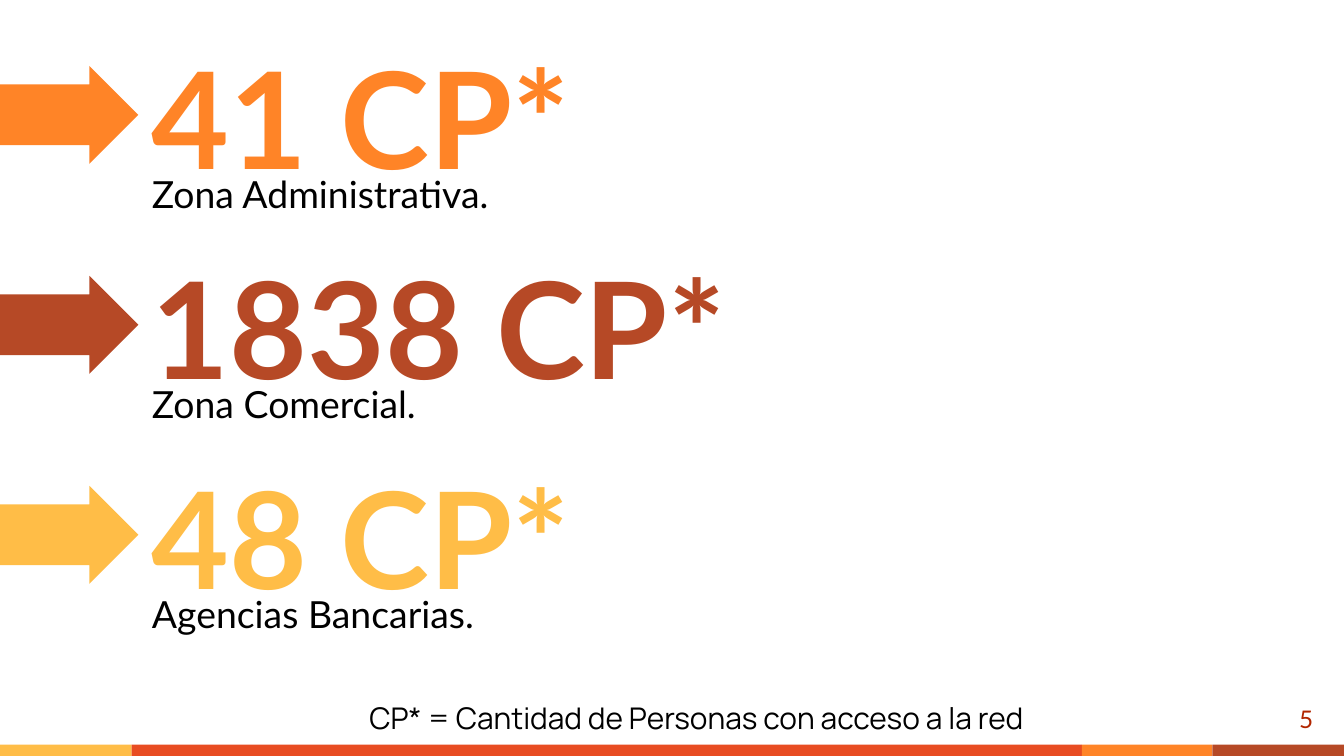
from dataclasses import dataclass
from typing import Any

from lxml.etree import SubElement
from pptx import Presentation
from pptx.dml.color import RGBColor
from pptx.enum.shapes import MSO_SHAPE as Preset
from pptx.enum.text import MSO_ANCHOR as Anchor, MSO_AUTO_SIZE as AutoSize, PP_ALIGN as Align
from pptx.oxml.ns import qn
from pptx.util import Inches, Pt

# The 16:9 slide is a grid of 1000 columns by 562.5 rows
COLUMNS = 1000
ROWS = COLUMNS * 9 / 16
CELL = Inches(0.01)
PITCH = 156.25  # rows from one zone to the next

ORANGE, BROWN, YELLOW, RED = "FF8427", "B64926", "FFBD47", "E84C22"
BLACK, NUMBER_RED = "000000", "B22600"


@dataclass(frozen=True)
class Area:
    column: float
    row: float
    columns: float
    rows: float

    def down(self, rows: float) -> "Area":
        return Area(self.column, self.row + rows, self.columns, self.rows)


@dataclass(frozen=True)
class Zone:
    people: str
    caption: str
    color: str


@dataclass(frozen=True)
class Style:
    size: float
    color: str
    font: str = "Lato"
    bold: bool = False
    align: Align = Align.LEFT
    anchor: Anchor = Anchor.TOP
    wrap: bool = True
    space_before: float = 0
    inset_x: int = 10
    inset_y: int = 10


ZONES = [
    Zone("41 CP*", "Zona Administrativa.", ORANGE),
    Zone("1838 CP*", "Zona Comercial.", BROWN),
    Zone("48 CP*", "Agencias Bancarias.", YELLOW),
]
FOOTER_TOP = 554
FOOTER_BANDS = [(98, YELLOW), (707, RED), (97, ORANGE), (98, BROWN)]

PEOPLE = Area(103, 58, 822, 98)
CAPTION = Area(103, 117, 822, 51)
ARROW = Area(0, 49, 103, 73)


def rgb(color: str) -> RGBColor:
    return RGBColor.from_string(color)


def cells(count: float) -> int:
    return round(count * CELL)


def assign(target: Any, values: dict[str, Any]) -> None:
    for attribute, value in values.items():
        setattr(target, attribute, value)


def place(shape: Any, area: Area) -> None:
    assign(shape, {"left": cells(area.column), "top": cells(area.row),
                   "width": cells(area.columns), "height": cells(area.rows)})


def add_block(slide: Any, preset: Preset, area: Area, color: str) -> Any:
    block = slide.shapes.add_shape(preset, 0, 0, 0, 0)
    place(block, area)
    block.shadow.inherit = False
    block.fill.solid()
    block.fill.fore_color.rgb = rgb(color)
    block.line.fill.background()
    return block


def write(holder: Any, area: Area, text: str, style: Style) -> None:
    place(holder, area)
    frame = holder.text_frame
    inset_x, inset_y = cells(style.inset_x), cells(style.inset_y)
    assign(frame, {"text": text, "word_wrap": style.wrap, "auto_size": AutoSize.NONE,
                   "vertical_anchor": style.anchor,
                   "margin_left": inset_x, "margin_right": inset_x,
                   "margin_top": inset_y, "margin_bottom": inset_y})
    line = frame.paragraphs[0]
    assign(line, {"alignment": style.align, "space_before": Pt(style.space_before)})
    run_font = line.runs[0].font
    assign(run_font, {"size": Pt(style.size), "name": style.font, "bold": style.bold})
    run_font.color.rgb = rgb(style.color)
    if holder.is_placeholder:  # no bullet, no hanging indent
        properties = line._p.get_or_add_pPr()
        properties.set("marL", "0")
        properties.set("indent", "0")
        SubElement(properties, qn("a:buNone"))


def add_text(slide: Any, area: Area, text: str, style: Style) -> None:
    write(slide.shapes.add_textbox(0, 0, 0, 0), area, text, style)


def main() -> None:
    deck = Presentation()
    assign(deck, {"slide_width": cells(COLUMNS), "slide_height": cells(ROWS)})
    # The comparison layout has one title and four bodies
    slide = deck.slides.add_slide(deck.slide_layouts[4])
    bodies = [p for p in slide.placeholders if p.placeholder_format.idx in range(1, 5)]

    # Footer bands
    column = 0
    for columns, color in FOOTER_BANDS:
        band = Area(column, FOOTER_TOP, columns, ROWS - FOOTER_TOP)
        add_block(slide, Preset.RECTANGLE, band, color)
        column += columns

    # Zones: arrow, number of people, caption
    caption_style = Style(20, BLACK, space_before=6)
    for index, zone in enumerate(ZONES):
        shift = index * PITCH
        arrow = add_block(slide, Preset.RIGHT_ARROW, ARROW.down(shift), zone.color)
        arrow.adjustments[0] = 0.62
        people_style = Style(72, zone.color, bold=True, anchor=Anchor.BOTTOM)
        if index == 0:
            write(slide.shapes.title, PEOPLE, zone.people, people_style)
        else:
            add_text(slide, PEOPLE.down(shift), zone.people, people_style)
        write(bodies[index], CAPTION.down(shift), zone.caption, caption_style)

    # Unused body
    spare = bodies[len(ZONES)].element
    spare.getparent().remove(spare)

    # Slide number and footnote
    add_text(slide, Area(927, 514, 60, 34), "5", Style(13, NUMBER_RED, align=Align.RIGHT))
    add_text(slide, Area(265, 516, 514, 37), "CP* = Cantidad de Personas con acceso a la red",
             Style(16, BLACK, font="Manrope", wrap=False, inset_y=5))

    deck.save("out.pptx")


if __name__ == "__main__":
    main()
